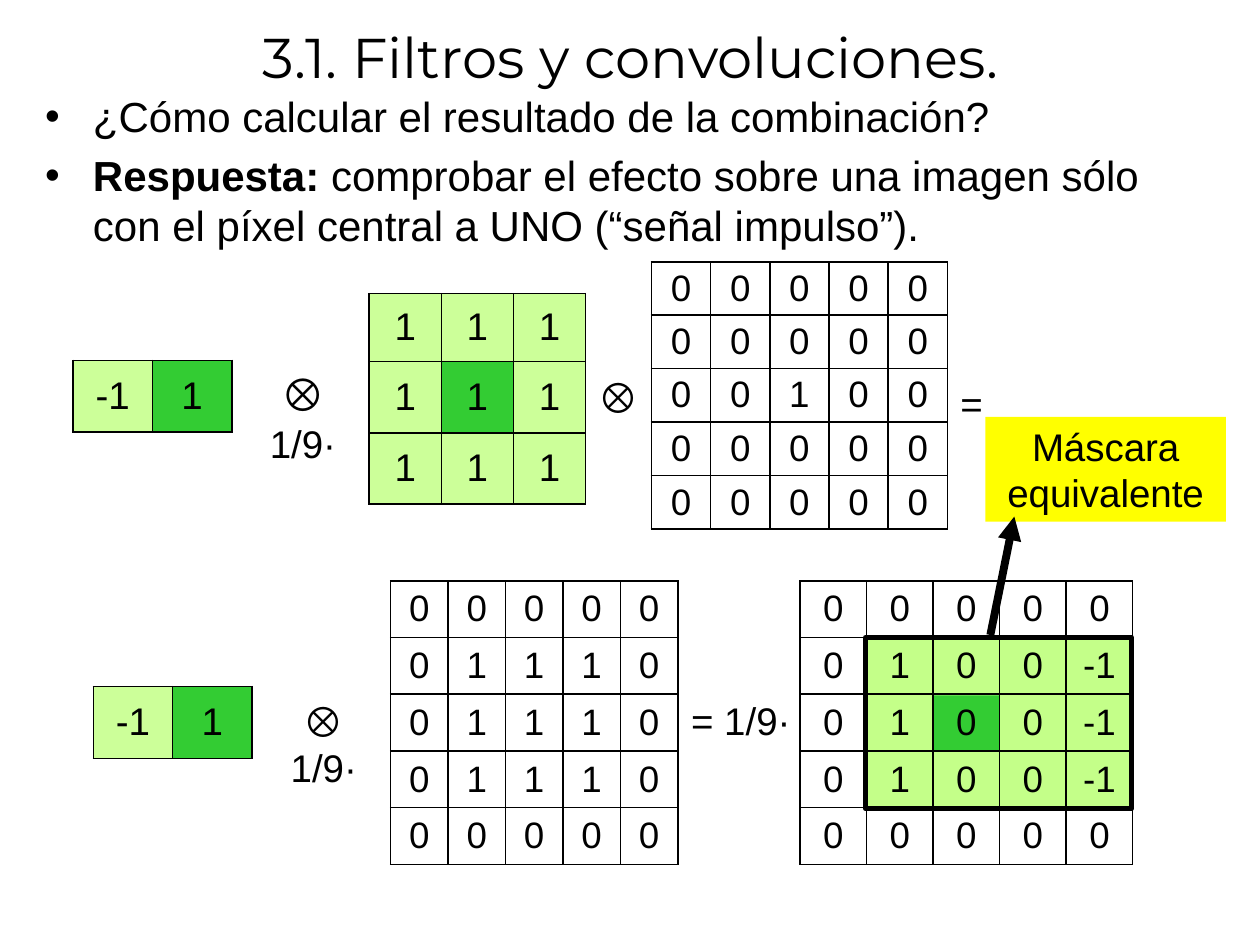
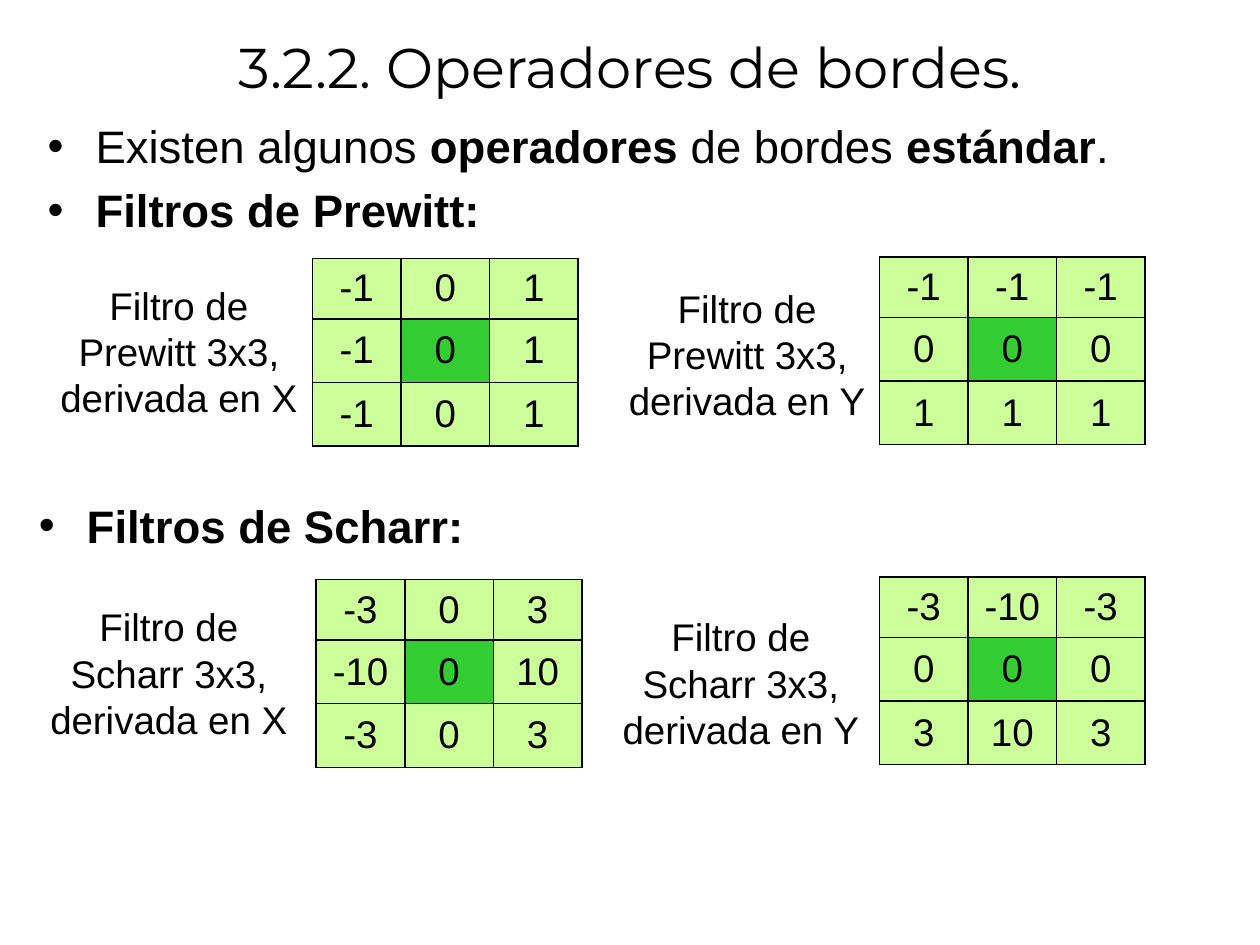
"""Build two slides on convolution masks and edge operators."""
from lxml.etree import SubElement
from pptx import Presentation
from pptx.dml.color import RGBColor
from pptx.enum.shapes import MSO_CONNECTOR, MSO_SHAPE
from pptx.enum.text import MSO_ANCHOR, PP_ALIGN
from pptx.oxml import parse_xml
from pptx.oxml.ns import nsdecls, qn
from pptx.util import Inches, Pt

COLORS = {"black": "000000", "white": "FFFFFF", "light": "CCFF99",
          "center": "33CC33", "region": "C4FF89", "note": "FFFF00"}
BODY_FONT, TITLE_FONT = "Arial", "Montserrat"

IMPULSE = ["0 0 0 0 0", "0 0 0 0 0", "0 0 1 0 0", "0 0 0 0 0", "0 0 0 0 0"]
BLURRED = ["0 0 0 0 0", "0 1 1 1 0", "0 1 1 1 0", "0 1 1 1 0", "0 0 0 0 0"]
RESULT = ["0 0 0 0 0", "0 1 0 0 -1", "0 1 0 0 -1", "0 1 0 0 -1", "0 0 0 0 0"]
MEAN = ["1 1 1"] * 3
DIFFERENCE = ["-1 1"]
KERNEL = {"fill": "light", "center": (1, 1)}
PAIR = {"fill": "light", "center": (0, 1)}

COMBINATION = {
    "title": ("3.1. Filtros y convoluciones.", 0.89),
    "bullets": [
        ((0.26, 0.63, 9.27, 1.42), 24,
         [[("¿Cómo calcular el resultado de la combinación?", False)],
          [("Respuesta:", True),
           (" comprobar el efecto sobre una imagen sólo con el píxel central "
            "a UNO (“señal impulso”).", False)]])],
    "matrices": [
        (IMPULSE, (5.17, 2.08), 0.47, (0.42, 0.425), {"size": 21, "fill": "white"}),
        (BLURRED, (3.1, 4.61), 0.456, (0.45, 0.45), {"size": 21, "fill": "white"}),
        (RESULT, (6.35, 4.61), 0.528, (0.45, 0.45), {"size": 21}),
        (MEAN, (2.93, 2.33), 0.573, (0.54, 0.565), KERNEL),
        (DIFFERENCE, (0.58, 2.86), 0.63, (0.57, 0.57), PAIR),
        (DIFFERENCE, (0.74, 5.45), 0.63, (0.57, 0.57), PAIR)],
    "labels": [
        ((4.58, 2.89, 0.65, 0.5), [("⊗", 24)]),
        ((1.83, 2.85, 1.15, 0.53), [("⊗", 26), (" 1/9·", 22)]),
        ((7.32, 2.97, 0.78, 0.47), [("=", 22)]),
        ((2.03, 5.46, 1.08, 0.5), [("⊗ ", 24), ("1/9·", 22)]),
        ((5.33, 5.48, 1.1, 0.47), [("= 1/9·", 22)])],
}
OPERATORS = {
    "title": ("3.2.2. Operadores de bordes.", 1.05),
    "bullets": [
        ((0.28, 0.85, 9.41, 1.16), 26,
         [[("Existen algunos ", False), ("operadores", True),
           (" de bordes ", False), ("estándar", True), (".", False)],
          [("Filtros de Prewitt:", True)]]),
        ((0.21, 3.86, 9.41, 0.59), 26, [[("Filtros de Scharr:", True)]])],
    "filters": [
        ("Prewitt", "X", (0.37, 2.19), (2.48, 2.05), ["-1 0 1"] * 3),
        ("Prewitt", "Y", (4.88, 2.21), (6.98, 2.04), ["-1 -1 -1", "0 0 0", "1 1 1"]),
        ("Scharr", "X", (0.29, 4.74), (2.51, 4.6), ["-3 0 3", "-10 0 10", "-3 0 3"]),
        ("Scharr", "Y", (4.83, 4.82), (6.98, 4.58), ["-3 -10 -3", "0 0 0", "3 10 3"])],
}


def color(name):
    return RGBColor.from_string(COLORS[name])


def inches(values):
    return [Inches(value) for value in values]


def add_span(para, text, *, size=22, bold=False, font=BODY_FONT):
    span = para.add_run()
    span.text = text
    span.font.size, span.font.bold, span.font.name = Pt(size), bold, font
    span.font.color.rgb = color("black")


def new_slide(deck, title, height):
    page = deck.slides.add_slide(deck.slide_layouts[5])
    box = page.shapes.title
    box.left, box.top, box.width, box.height = inches((0.2, 0, 9.61, height))
    box.text_frame.vertical_anchor = MSO_ANCHOR.MIDDLE
    para = box.text_frame.paragraphs[0]
    para.alignment = PP_ALIGN.CENTER
    add_span(para, title, size=32, font=TITLE_FONT)
    return page


def add_bullets(page, place, size, items):
    frame = page.shapes.add_textbox(*inches(place)).text_frame
    frame.word_wrap = True
    frame.margin_top = Inches(0.09)
    for index, spans in enumerate(items):
        para = frame.add_paragraph() if index else frame.paragraphs[0]
        properties = para._p.get_or_add_pPr()
        properties.set("marL", str(Inches(0.38)))
        properties.set("indent", str(-Inches(0.38)))
        SubElement(properties, qn("a:buFont"), typeface=BODY_FONT)
        SubElement(properties, qn("a:buChar"), char="•")
        if index:
            para.space_before = Pt(size * 0.2)
        for text, bold in spans:
            add_span(para, text, size=size, bold=bold)


def add_label(page, place, spans):
    box = page.shapes.add_textbox(*inches(place))
    box.text_frame.word_wrap = True
    para = box.text_frame.paragraphs[0]
    para.alignment = PP_ALIGN.CENTER
    for text, size in spans:
        add_span(para, text, size=size)
    return box


def add_borders(cell):
    properties = cell._tc.get_or_add_tcPr()
    for index, side in enumerate("LRTB"):
        properties.insert(index, parse_xml(
            f'<a:ln{side} {nsdecls("a")} w="{Pt(1)}"><a:solidFill>'
            f'<a:srgbClr val="{COLORS["black"]}"/></a:solidFill></a:ln{side}>'))


def add_matrix(page, rows, corner, column_width, row_heights, *,
               size=22, fill=None, center=None):
    values = [row.split() for row in rows]
    first, rest = row_heights
    heights = [first] + [rest] * (len(rows) - 1)
    columns = len(values[0])
    table = page.shapes.add_table(
        len(rows), columns, *inches((*corner, column_width * columns, sum(heights)))).table
    for column in table.columns:
        column.width = Inches(column_width)
    for r, height in enumerate(heights):
        table.rows[r].height = Inches(height)
        for c, value in enumerate(values[r]):
            cell = table.cell(r, c)
            cell.vertical_anchor = MSO_ANCHOR.MIDDLE
            cell.margin_top = cell.margin_bottom = 0
            cell.margin_left = cell.margin_right = Inches(0.05)
            if fill:
                cell.fill.solid()
                cell.fill.fore_color.rgb = color("center" if (r, c) == center else fill)
            else:
                cell.fill.background()
            add_borders(cell)
            para = cell.text_frame.paragraphs[0]
            para.alignment = PP_ALIGN.CENTER
            add_span(para, value, size=size)


def add_block(page, place, fill, line_width=0):
    block = page.shapes.add_shape(MSO_SHAPE.RECTANGLE, *inches(place))
    block.shadow.inherit = False
    block.fill.solid()
    block.fill.fore_color.rgb = color(fill)
    if line_width:
        block.line.color.rgb = color("black")
        block.line.width = Pt(line_width)
    else:
        block.line.fill.background()


def add_arrow(page, start, end):
    arrow = page.shapes.add_connector(MSO_CONNECTOR.STRAIGHT, *inches((*start, *end)))
    arrow.line.color.rgb = color("black")
    arrow.line.width = Pt(4.5)
    SubElement(arrow.line._get_or_add_ln(), qn("a:tailEnd"), type="triangle")
    SubElement(arrow._element.spPr, qn("a:effectLst"))


def build_combination(deck):
    page = new_slide(deck, *COMBINATION["title"])
    add_block(page, (6.87, 5.06, 2.11, 1.36), "region", line_width=3)
    add_block(page, (7.4, 5.52, 0.53, 0.44), "center")
    for bullets in COMBINATION["bullets"]:
        add_bullets(page, *bullets)
    for *matrix, style in COMBINATION["matrices"]:
        add_matrix(page, *matrix, **style)
    for label in COMBINATION["labels"]:
        add_label(page, *label)
    note = add_label(page, (7.82, 3.31, 1.91, 0.83), [("Máscara equivalente", 22)])
    note.fill.solid()
    note.fill.fore_color.rgb = color("note")
    add_arrow(page, (7.86, 5.04), (8.05, 4.1))


def build_operators(deck):
    page = new_slide(deck, *OPERATORS["title"])
    for bullets in OPERATORS["bullets"]:
        add_bullets(page, *bullets)
    for name, axis, label_corner, corner, rows in OPERATORS["filters"]:
        add_label(page, (*label_corner, 2.1, 1.2),
                  [(f"Filtro de {name} 3x3, derivada en {axis}", 22)])
        add_matrix(page, rows, corner, 0.703, (0.48, 0.505), **KERNEL)


def main():
    deck = Presentation()
    deck.slide_width, deck.slide_height = Inches(10), Inches(7.5)
    build_combination(deck)
    build_operators(deck)
    deck.save("out.pptx")


if __name__ == "__main__":
    main()
